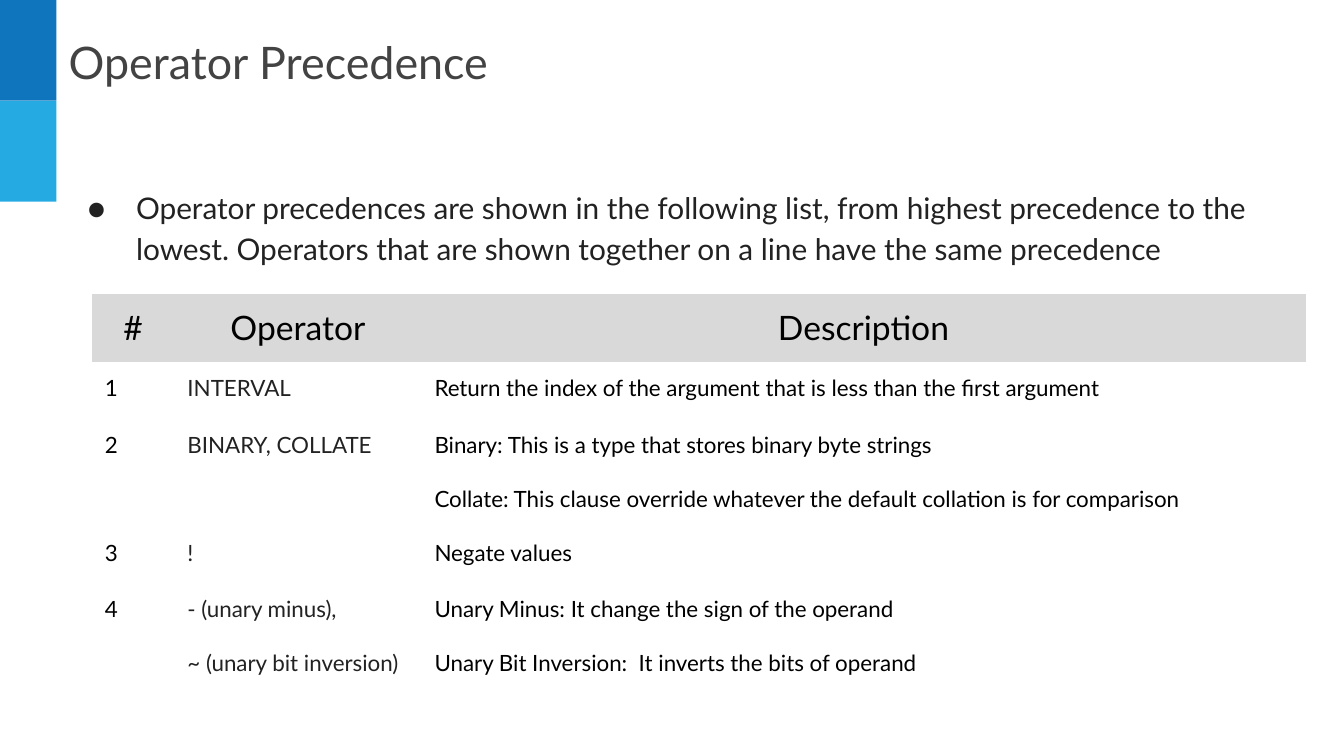
import pptx
import pptx.util
import pptx.dml.color
import pptx.enum.shapes
import pptx.enum.text
import pptx.oxml
import pptx.oxml.ns

Inches, Pt = pptx.util.Inches, pptx.util.Pt
RGBColor = pptx.dml.color.RGBColor
PP_ALIGN = pptx.enum.text.PP_ALIGN
ANCHOR_TOP = pptx.enum.text.MSO_ANCHOR.TOP

TITLE = "Operator Precedence"
INTRO = ("Operator precedences are shown in the following list, from highest "
         "precedence to the lowest. Operators that are shown together on a line "
         "have the same precedence")
HEADER = ("#", "Operator", "Description")
ROWS = [
    ("1", "INTERVAL",
     "Return the index of the argument that is less than the first argument"),
    ("2", "BINARY, COLLATE",
     "Binary: This is a type that stores binary byte strings\n"
     "Collate: This clause override whatever the default collation is for comparison"),
    ("3", "!", "Negate values"),
    ("4", "- (unary minus),\n~ (unary bit inversion)",
     "Unary Minus: It change the sign of the operand\n"
     "Unary Bit Inversion:  It inverts the bits of operand"),
]

FONT = "Lato"
BLACK = RGBColor(0x00, 0x00, 0x00)
INK = RGBColor(0x22, 0x22, 0x22)
TITLE_GREY = RGBColor(0x43, 0x43, 0x43)
HEADER_GREY = RGBColor(0xD9, 0xD9, 0xD9)
BAND_COLORS = (RGBColor(0x0F, 0x75, 0xBD), RGBColor(0x25, 0xAA, 0xE2))

BAND_W, BAND_H = 0.56, 1
INSET = Inches(0.13)
COL_WIDTHS = (0.82, 2.45, 8.77)
COL_COLORS = (BLACK, INK, BLACK)
HEADER_H, ROW_H, EXTRA_LINE_H = 0.67, 0.56, 0.51
LINE_GAP = Pt(19.2)
PLAIN_TABLE = "{2D5ABB26-0587-4C30-8999-92F81FD0307C}"


def format_text(tf, size, color, align=PP_ALIGN.LEFT):
    for p in tf.paragraphs:
        p.alignment = align
        p.space_before = Pt(0)
        for r in p.runs:
            r.font.name = FONT
            r.font.size = Pt(size)
            r.font.color.rgb = color


def fill_placeholder(sp, box, text, size, color):
    sp.left, sp.top, sp.width, sp.height = map(Inches, box)
    tf = sp.text_frame
    tf.text = text
    tf.word_wrap = True
    tf.auto_size = pptx.enum.text.MSO_AUTO_SIZE.NONE
    tf.vertical_anchor = ANCHOR_TOP
    tf.margin_left = tf.margin_right = tf.margin_top = tf.margin_bottom = INSET
    format_text(tf, size, color)
    return tf.paragraphs[0]


def add_bullet(p):
    pPr = p._p.get_or_add_pPr()
    pPr.set("marL", str(Inches(0.67)))
    pPr.set("indent", str(Inches(-0.48)))
    ns = pptx.oxml.ns.nsdecls("a")
    for xml in (f'<a:buClr {ns}><a:srgbClr val="{INK}"/></a:buClr>',
                f'<a:buFont {ns} typeface="{FONT}"/>',
                f'<a:buChar {ns} char="●"/>'):
        pPr.append(pptx.oxml.parse_xml(xml))


def fill_cell(cell, text, size, color, align=PP_ALIGN.LEFT):
    cell.text = text
    cell.vertical_anchor = ANCHOR_TOP
    cell.margin_left = cell.margin_right = INSET
    cell.margin_top = cell.margin_bottom = INSET
    cell.fill.background()
    format_text(cell.text_frame, size, color, align)
    for p in cell.text_frame.paragraphs[1:]:
        p.space_before = LINE_GAP


def add_precedence_table(s):
    heights = [HEADER_H] + [
        ROW_H + EXTRA_LINE_H * max(text.count("\n") for text in row) for row in ROWS]
    frame = s.shapes.add_table(
        len(heights), len(COL_WIDTHS), Inches(0.91), Inches(2.92),
        Inches(sum(COL_WIDTHS)), Inches(sum(heights)))
    table = frame.table
    table.first_row = table.horz_banding = False
    table._tbl.tblPr.find(pptx.oxml.ns.qn("a:tableStyleId")).text = PLAIN_TABLE
    for col, width in zip(table.columns, COL_WIDTHS):
        col.width = Inches(width)
    for row, height in zip(table.rows, heights):
        row.height = Inches(height)
    for c, text in enumerate(HEADER):
        cell = table.cell(0, c)
        fill_cell(cell, text, 24, BLACK, PP_ALIGN.CENTER)
        cell.fill.solid()
        cell.fill.fore_color.rgb = HEADER_GREY
    for i, row in enumerate(ROWS, 1):
        for c, text in enumerate(row):
            fill_cell(table.cell(i, c), text, 16, COL_COLORS[c])


def main():
    prs = pptx.Presentation()
    prs.slide_width, prs.slide_height = Inches(13.33), Inches(7.5)
    s = prs.slides.add_slide(prs.slide_layouts[1])
    fill_placeholder(s.shapes.title, (0.55, 0.21, 10.86, 0.77), TITLE, 32, TITLE_GREY)
    p = fill_placeholder(s.placeholders[1], (0.55, 1.7, 12.49, 1), INTRO, 21.3, INK)
    p.line_spacing = 1.15
    add_bullet(p)
    for i, color in enumerate(BAND_COLORS):
        sp = s.shapes.add_shape(
            pptx.enum.shapes.MSO_SHAPE.RECTANGLE, 0, Inches(i * BAND_H),
            Inches(BAND_W), Inches(BAND_H))
        sp.shadow.inherit = False
        sp.fill.solid()
        sp.fill.fore_color.rgb = color
        sp.line.fill.background()
    add_precedence_table(s)
    prs.save("out.pptx")


if __name__ == "__main__":
    main()
